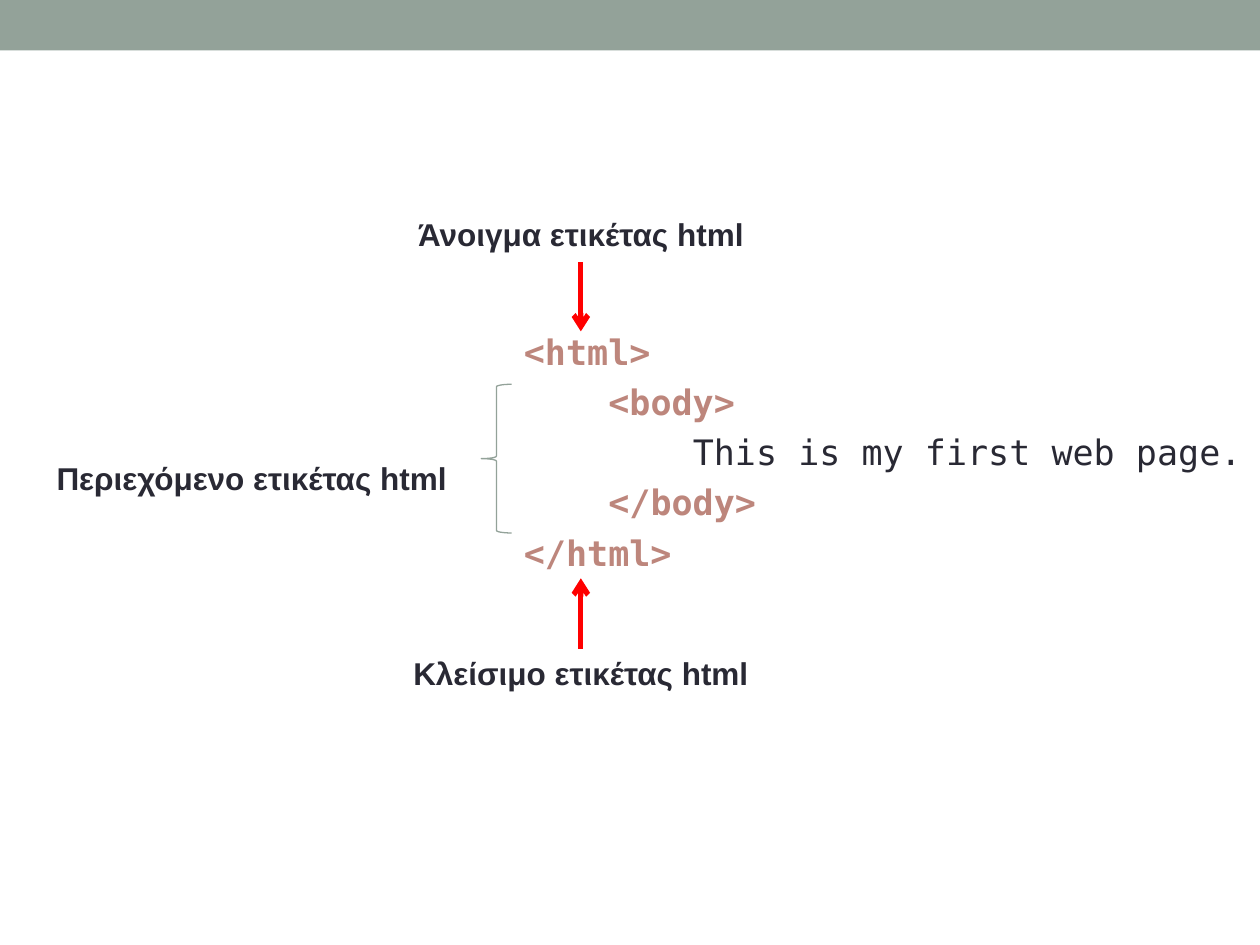
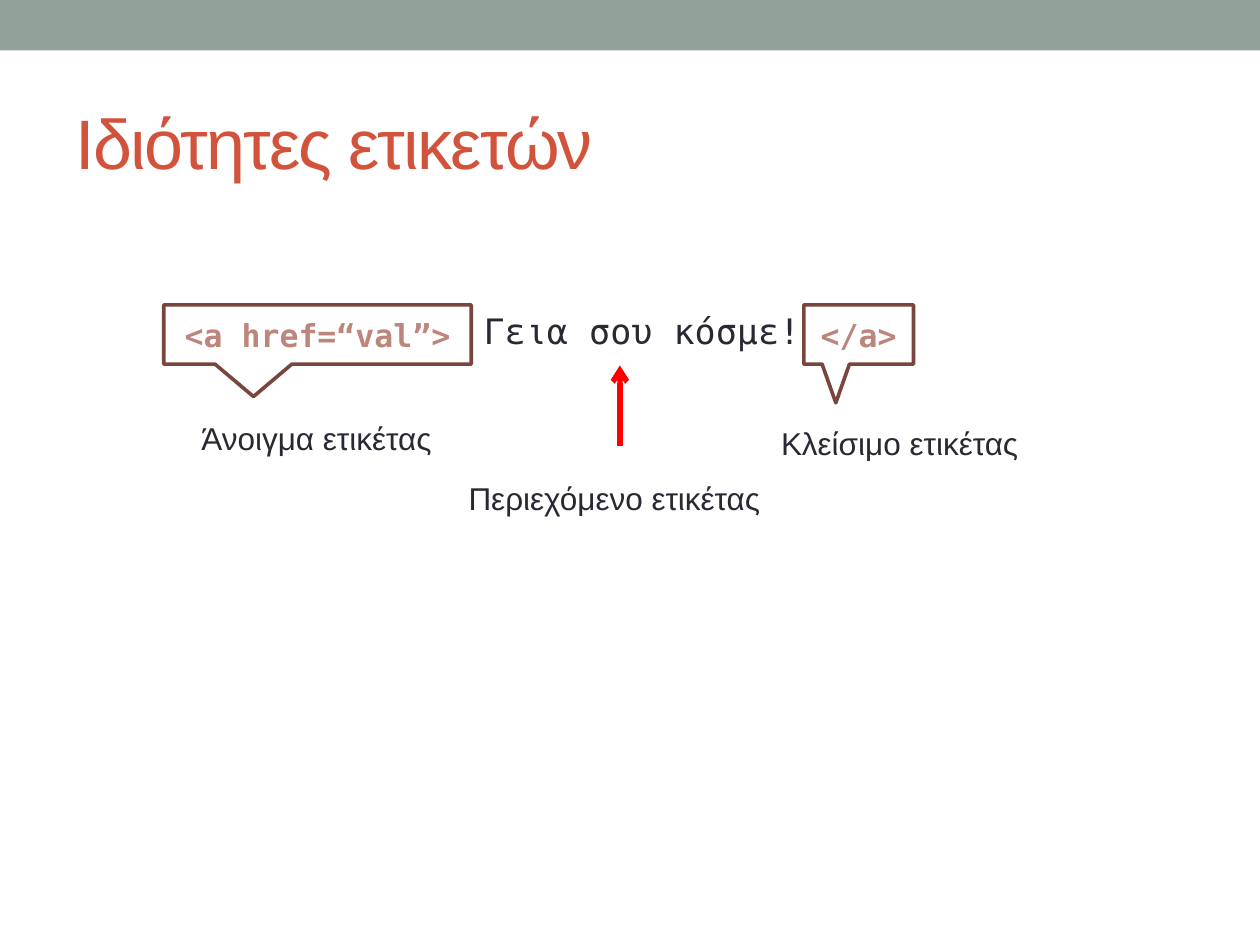
from lxml import etree
from pptx import Presentation, util as u
from pptx.dml.color import RGBColor
from pptx.enum import shapes, text
from pptx.oxml.ns import qn

PX = u.Inches(1) // 100
SAGE = RGBColor(0x93, 0xA2, 0x99)
INK = RGBColor(0x29, 0x29, 0x34)
TAG = RGBColor(0xBD, 0x86, 0x7C)
BROWN = RGBColor(0x79, 0x46, 0x3D)
RUST = RGBColor(0xD2, 0x53, 0x3C)
RED = RGBColor(0xFF, 0, 0)
WHITE = RGBColor(0xFF, 0xFF, 0xFF)
SANS, MONO = "Arial", "DejaVu Sans Mono"
LEFT, CENTER = text.PP_ALIGN.LEFT, text.PP_ALIGN.CENTER


def write(paragraph, words, size=18, font=SANS, color=INK, bold=False, align=LEFT):
    paragraph.alignment = align
    run = paragraph.add_run()
    run.text = words
    run.font.size = u.Pt(size)
    run.font.name = font
    run.font.color.rgb = color
    run.font.bold = bold
    return run


def add_arrow(slide, x, start, end):
    arrow = slide.shapes.add_connector(
        shapes.MSO_CONNECTOR.STRAIGHT, x * PX, start * PX, x * PX, end * PX)
    arrow.line.color.rgb = RED
    arrow.line.width = u.Pt(3)
    properties = arrow._element.spPr
    etree.SubElement(properties.find(qn("a:ln")), qn("a:tailEnd"), type="arrow")
    etree.SubElement(properties, qn("a:effectLst"))


prs = Presentation()
prs.slide_width, prs.slide_height = 1000 * PX, 750 * PX
structure = prs.slides.add_slide(prs.slide_layouts[6])
attributes = prs.slides.add_slide(prs.slide_layouts[5])

for slide in (structure, attributes):
    band = slide.shapes.add_shape(shapes.MSO_SHAPE.RECTANGLE, 0, 0, 1000 * PX, 40 * PX)
    band.shadow.inherit = False
    band.fill.solid()
    band.fill.fore_color.rgb = SAGE
    band.line.fill.background()

code = structure.shapes.add_textbox(406 * PX, 257 * PX, 594 * PX, 326 * PX).text_frame
code.word_wrap = True
code_lines = [
    (0, "<html>", TAG, True),
    (1, "<body>", TAG, True),
    (2, "This is my first web page.", INK, False),
    (1, "</body>", TAG, True),
    (0, "</html>", TAG, True),
]
for number, (depth, words, color, bold) in enumerate(code_lines):
    line = code.add_paragraph() if number else code.paragraphs[0]
    line.space_before = u.Pt(4.7)
    line._p.get_or_add_pPr().set("marL", str(depth * 67 * PX))
    write(line, words, 20, MONO, color, bold)

brace = structure.shapes.add_shape(
    shapes.MSO_SHAPE.LEFT_BRACE, 382 * PX, 305 * PX, 24 * PX, 118 * PX)
brace.shadow.inherit = False
brace.fill.background()
brace.line.color.rgb = SAGE
brace.line.width = u.Pt(0.75)

add_arrow(structure, 461, 208, 263)
add_arrow(structure, 461, 515, 459)

title = attributes.shapes.title
title.left, title.top, title.width, title.height = 50 * PX, 58 * PX, 900 * PX, 108 * PX
title.text_frame.vertical_anchor = text.MSO_ANCHOR.MIDDLE
heading = write(title.text_frame.paragraphs[0], "Ιδιότητες ετικετών", 40, color=RUST)
heading.font._element.set("spc", "-100")

callouts = [
    (638, 87, 1.154, "</a>"),
    (130, 244, 1.048, "<a href=“val”>"),
]
for left, width, pointer, words in callouts:
    callout = attributes.shapes.add_shape(
        shapes.MSO_SHAPE.RECTANGULAR_CALLOUT, left * PX, 242 * PX, width * PX, 47 * PX)
    callout.adjustments[0] = -0.208
    callout.adjustments[1] = pointer
    callout.shadow.inherit = False
    callout.fill.solid()
    callout.fill.fore_color.rgb = WHITE
    callout.line.color.rgb = BROWN
    callout.line.width = u.Pt(2.08)
    callout.text_frame.word_wrap = True
    callout.text_frame.vertical_anchor = text.MSO_ANCHOR.MIDDLE
    write(callout.text_frame.paragraphs[0], words, 18, MONO, TAG, True, CENTER)

add_arrow(attributes, 492, 354, 290)

labels = [
    (structure, 35, 359, 332, "Περιεχόμενο ετικέτας html", 18, SANS, True, LEFT),
    (structure, 295, 166, 332, "Άνοιγμα ετικέτας html", 18, SANS, True, CENTER),
    (structure, 295, 514, 332, "Κλείσιμο ετικέτας html", 18, SANS, True, CENTER),
    (attributes, 150, 328, 205, "Άνοιγμα ετικέτας", 18, SANS, False, LEFT),
    (attributes, 610, 332, 228, "Κλείσιμο ετικέτας", 18, SANS, False, LEFT),
    (attributes, 374, 241, 285, "Γεια σου κόσμε!", 20, MONO, False, LEFT),
    (attributes, 362, 375, 261, "Περιεχόμενο ετικέτας", 18, SANS, False, LEFT),
]
for slide, left, top, width, words, size, font, bold, align in labels:
    label = slide.shapes.add_textbox(left * PX, top * PX, width * PX, 40 * PX).text_frame
    label.word_wrap = True
    label.auto_size = text.MSO_AUTO_SIZE.SHAPE_TO_FIT_TEXT
    write(label.paragraphs[0], words, size, font, INK, bold, align)

prs.save("out.pptx")
